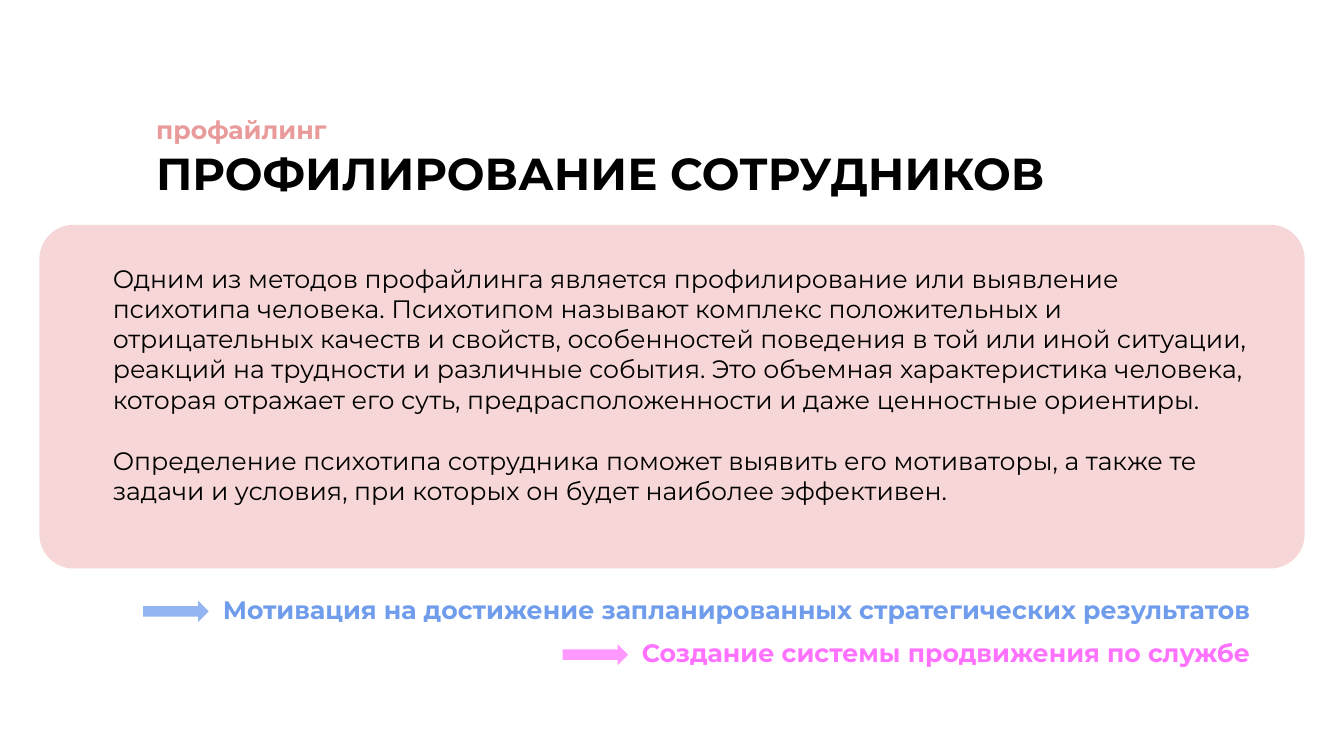
from dataclasses import dataclass

from pptx import Presentation
from pptx.dml.color import RGBColor
from pptx.enum.shapes import MSO_SHAPE
from pptx.enum.text import MSO_ANCHOR, PP_ALIGN
from pptx.shapes.autoshape import Shape
from pptx.slide import Slide
from pptx.util import Inches, Pt

ROUNDED = MSO_SHAPE.ROUNDED_RECTANGLE
RIGHT_ARROW = MSO_SHAPE.RIGHT_ARROW
TOP, MIDDLE = MSO_ANCHOR.TOP, MSO_ANCHOR.MIDDLE
LEFT, RIGHT = PP_ALIGN.LEFT, PP_ALIGN.RIGHT


@dataclass(frozen=True)
class Theme:
    font: str = "Montserrat"
    title_size: int = 32
    text_size: int = 18
    paragraph_gap: int = 22
    black: str = "000000"
    rose: str = "E99B9B"
    panel: str = "F6D6D6"
    blue: str = "709CEC"
    blue_arrow: str = "93B5F1"
    pink: str = "FF71FF"
    pink_arrow: str = "FF99FF"


THEME = Theme()


@dataclass(frozen=True)
class Box:
    left: float
    top: float
    width: float
    height: float

    def lengths(self) -> tuple[int, int, int, int]:
        return (Inches(self.left), Inches(self.top),
                Inches(self.width), Inches(self.height))


@dataclass(frozen=True)
class Label:
    box: Box
    paragraphs: tuple[str, ...]
    color: str
    size: int = THEME.text_size
    bold: bool = True
    anchor: MSO_ANCHOR = MIDDLE
    alignment: PP_ALIGN = LEFT
    line_spacing: float = 0.9
    vertical_inset: float = 0.1
    right_inset: float = 0.1


@dataclass(frozen=True)
class Outcome:
    text: str
    top: float
    left: float
    arrow_left: float
    color: str
    arrow_color: str


HEADINGS = (
    Label(Box(1.45, 1.33, 9.76, 0.84), ("ПРОФИЛИРОВАНИЕ СОТРУДНИКОВ",),
          THEME.black, size=THEME.title_size),
    Label(Box(1.45, 1.1, 1.93, 0.4), ("профайлинг",), THEME.rose),
)

PANEL = Box(0.39, 2.23, 12.55, 3.41)
DESCRIPTION = Label(
    Box(1.02, 2.56, 11.48, 2.83),
    (
        "Одним из методов профайлинга является профилирование или выявление "
        "психотипа человека. Психотипом называют комплекс положительных и "
        "отрицательных качеств и свойств, особенностей поведения в той или иной "
        "ситуации, реакций на трудности и различные события. Это объемная "
        "характеристика человека, которая отражает его суть, предрасположенности "
        "и даже ценностные ориентиры.",
        "Определение психотипа сотрудника поможет выявить его мотиваторы, а также "
        "те задачи и условия, при которых он будет наиболее эффективен.",
    ),
    THEME.black, bold=False, anchor=TOP, line_spacing=1.0, vertical_inset=0.05,
)

OUTCOMES = (
    Outcome("Мотивация на достижение запланированных стратегических результатов",
            5.79, 1.85, 1.42, THEME.blue, THEME.blue_arrow),
    Outcome("Создание системы продвижения по службе",
            6.22, 4.09, 5.58, THEME.pink, THEME.pink_arrow),
)
OUTCOME_RIGHT = 12.57
OUTCOME_HEIGHT = 0.54
ARROW_DROP = 0.17


def add_label(slide: Slide, label: Label) -> None:
    text_frame = slide.shapes.add_textbox(*label.box.lengths()).text_frame
    text_frame.word_wrap = True
    text_frame.vertical_anchor = label.anchor
    text_frame.margin_left = Inches(0.1)
    text_frame.margin_right = Inches(label.right_inset)
    text_frame.margin_top = text_frame.margin_bottom = Inches(label.vertical_inset)
    text_frame.text = "\n".join(label.paragraphs)
    for index, paragraph in enumerate(text_frame.paragraphs):
        paragraph.alignment = label.alignment
        paragraph.line_spacing = label.line_spacing
        if index:
            paragraph.space_before = Pt(THEME.paragraph_gap)
        for run in paragraph.runs:
            run.font.name = THEME.font
            run.font.size = Pt(label.size)
            run.font.bold = label.bold
            run.font.color.rgb = RGBColor.from_string(label.color)


def add_filled_shape(slide: Slide, kind: MSO_SHAPE, box: Box, color: str) -> Shape:
    shape = slide.shapes.add_shape(kind, *box.lengths())
    shape.shadow.inherit = False
    shape.fill.solid()
    shape.fill.fore_color.rgb = RGBColor.from_string(color)
    shape.line.fill.background()
    return shape


def add_outcome(slide: Slide, outcome: Outcome) -> None:
    arrow = Box(outcome.arrow_left, outcome.top + ARROW_DROP, 0.65, 0.21)
    add_filled_shape(slide, RIGHT_ARROW, arrow, outcome.arrow_color)
    box = Box(outcome.left, outcome.top, OUTCOME_RIGHT - outcome.left, OUTCOME_HEIGHT)
    add_label(slide, Label(box, (outcome.text,), outcome.color,
                           alignment=RIGHT, right_inset=0.17))


def main() -> None:
    presentation = Presentation()
    presentation.slide_width = Inches(13.33)
    presentation.slide_height = Inches(7.5)
    slide = presentation.slides.add_slide(presentation.slide_layouts[6])
    for heading in HEADINGS:
        add_label(slide, heading)
    panel = add_filled_shape(slide, ROUNDED, PANEL, THEME.panel)
    panel.adjustments[0] = 0.1
    add_label(slide, DESCRIPTION)
    for outcome in OUTCOMES:
        add_outcome(slide, outcome)
    presentation.save("out.pptx")


if __name__ == "__main__":
    main()
